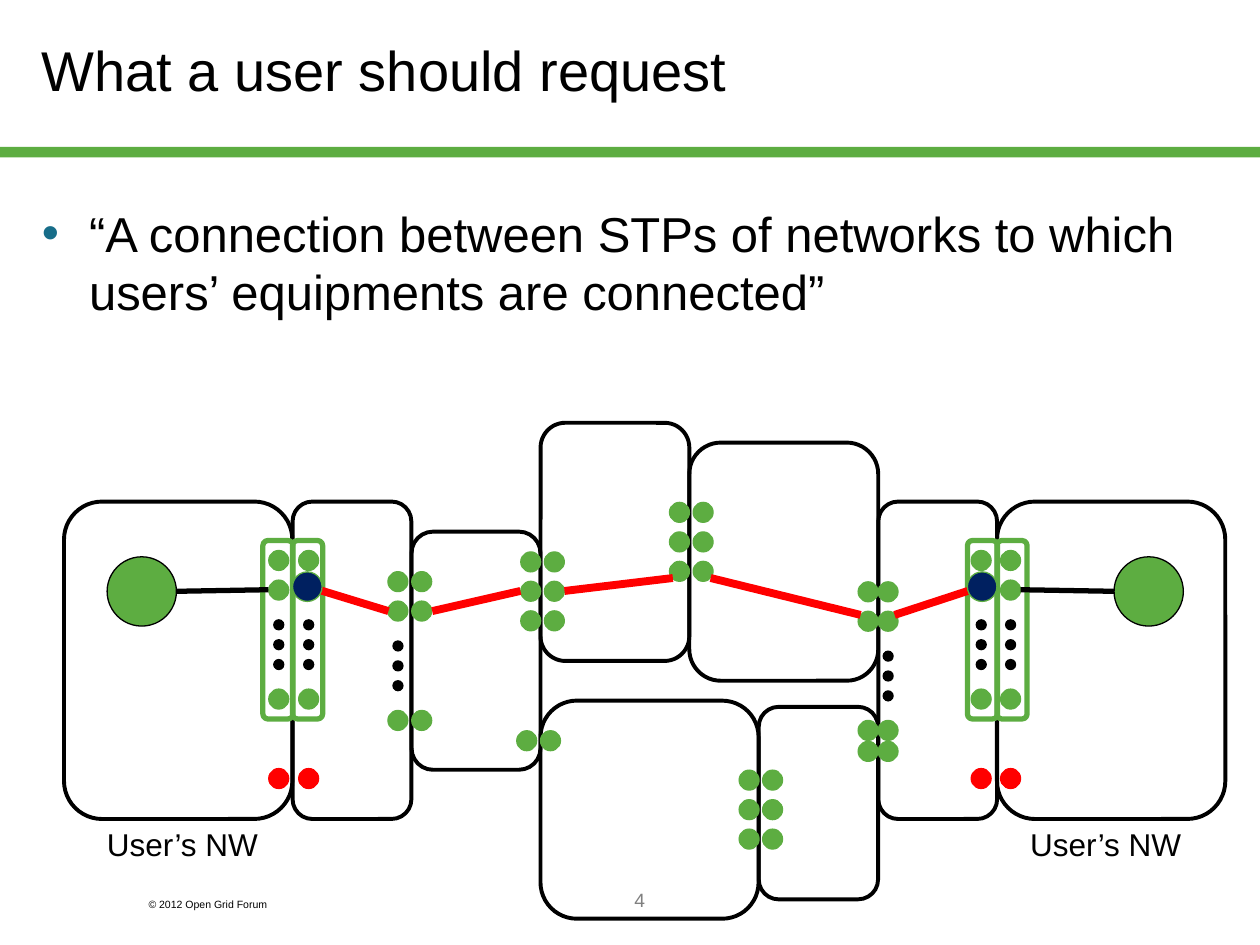
"""Build a slide on the connection a user should request between network STPs."""
from dataclasses import dataclass

from lxml.etree import SubElement
from pptx import Presentation
from pptx.dml.color import RGBColor
from pptx.enum.shapes import MSO_CONNECTOR as Connector
from pptx.enum.shapes import MSO_SHAPE as Shape
from pptx.enum.text import MSO_ANCHOR as Anchor
from pptx.enum.text import PP_ALIGN as Align
from pptx.oxml.ns import qn
from pptx.util import Pt

BLACK = RGBColor(0x00, 0x00, 0x00)
GRAY = RGBColor(0x80, 0x80, 0x80)
GREEN = RGBColor(0x5D, 0xAD, 0x41)
NAVY = RGBColor(0x00, 0x20, 0x60)
RED = RGBColor(0xFF, 0x00, 0x00)
TEAL = RGBColor(0x17, 0x6D, 0x89)

PORT = 11.4
DOT = 5.7
DOT_PITCH = 11.35
USER_TOP = 286.6
USER_HEIGHT = 181.4
FRAME_TOP = 308.9
HOST = 39.6
HOST_TOP = 318.2
CHOSEN = 16.9


@dataclass(frozen=True)
class Box:
    left: float
    top: float
    width: float
    height: float


@dataclass(frozen=True)
class Link:
    x1: float
    y1: float
    x2: float
    y2: float


@dataclass(frozen=True)
class Border:
    """STPs facing each other in two columns across a network border."""
    columns: tuple[float, float]
    tops: tuple[float, ...]


@dataclass(frozen=True)
class UserSide:
    """One STP column at a user's network and the frame around it."""
    port_left: float
    frame_left: float


NETWORKS = (
    Box(36.6, USER_TOP, 130.5, USER_HEIGHT),
    Box(167.2, USER_TOP, 67.9, USER_HEIGHT),
    Box(235.2, 303.8, 73.7, 136.1),
    Box(308.9, 241.6, 85, 136.1),
    Box(393.9, 252.9, 108, 136.1),
    Box(308.9, 400.4, 124.6, 124.6),
    Box(433.6, 403.9, 68.2, 110),
    Box(501.9, USER_TOP, 67.9, USER_HEIGHT),
    Box(569.7, USER_TOP, 130.5, USER_HEIGHT),
)
USER_SIDES = (
    UserSide(153.6, 150.2),
    UserSide(170.7, 167.2),
    UserSide(555, 552.8),
    UserSide(571.8, 569.7),
)
BORDERS = (
    Border((221.7, 235.3), (326.7, 343.5, 406)),
    Border((297.6, 311.1), (315.4, 332.2, 349.1)),
    Border((382.6, 396.1), (287.1, 304, 320.8)),
    Border((422.4, 435.8), (440.1, 457, 473.8)),
    Border((295.3, 308.9), (417.6,)),
    Border((490.4, 501.8), (332.5, 349.3, 411.7, 423.7)),
)
HOST_LINKS = (Link(100.8, 337.9, 153.4, 337), Link(636.5, 337.9, 583.2, 337))
CONNECTION = (
    Link(182, 337, 222, 349.2),
    Link(247, 349.2, 297.4, 337.7),
    Link(322.6, 337.7, 384.5, 330.3),
    Link(406.1, 330.3, 491.8, 351.4),
    Link(511.2, 351.4, 553, 337.7),
)


def add_figure(shapes, kind: Shape, box: Box, fill: RGBColor | None = None,
               line: RGBColor | None = None, weight: float = 0.75) -> None:
    figure = shapes.add_shape(kind, Pt(box.left), Pt(box.top), Pt(box.width), Pt(box.height))
    figure.shadow.inherit = False
    if fill is None:
        figure.fill.background()
    else:
        figure.fill.solid()
        figure.fill.fore_color.rgb = fill
    if line is None:
        figure.line.fill.background()
    else:
        figure.line.color.rgb = line
        figure.line.width = Pt(weight)


def add_circle(shapes, left: float, top: float, size: float,
               fill: RGBColor, line: RGBColor) -> None:
    add_figure(shapes, Shape.OVAL, Box(left, top, size, size), fill, line)


def add_port(shapes, left: float, top: float, color: RGBColor = GREEN) -> None:
    add_circle(shapes, left, top, PORT, color, color)


def add_ellipsis(shapes, port_left: float, top: float) -> None:
    for step in range(3):
        add_circle(shapes, port_left + (PORT - DOT) / 2, top + step * DOT_PITCH, DOT, BLACK, BLACK)


def add_user_side(shapes, side: UserSide) -> None:
    for top in (314.6, 331.5, 393.8):
        add_port(shapes, side.port_left, top)
    add_port(shapes, side.port_left, 439.2, RED)
    add_ellipsis(shapes, side.port_left, 354.2)
    add_figure(shapes, Shape.ROUNDED_RECTANGLE, Box(side.frame_left, FRAME_TOP, 17.2, 102),
               line=GREEN, weight=3)


def add_link(shapes, link: Link, color: RGBColor, weight: float) -> None:
    connector = shapes.add_connector(Connector.STRAIGHT, Pt(link.x1), Pt(link.y1),
                                     Pt(link.x2), Pt(link.y2))
    connector.line.color.rgb = color
    connector.line.width = Pt(weight)
    SubElement(connector._element.spPr, qn("a:effectLst"))


def add_text(shapes, text: str, box: Box, *, size: float, color: RGBColor = BLACK,
             align: Align = Align.LEFT, anchor: Anchor = Anchor.TOP,
             wrap: bool = True, bullet: RGBColor | None = None) -> None:
    frame = shapes.add_textbox(Pt(box.left), Pt(box.top), Pt(box.width), Pt(box.height)).text_frame
    frame.word_wrap = wrap
    frame.vertical_anchor = anchor
    paragraph = frame.paragraphs[0]
    paragraph.alignment = align
    if bullet is not None:
        properties = paragraph._p.get_or_add_pPr()
        properties.set("marL", str(Pt(27)))
        properties.set("indent", str(-Pt(27)))
        bullet_color = SubElement(properties, qn("a:buClr"))
        SubElement(bullet_color, qn("a:srgbClr"), val=str(bullet))
        SubElement(properties, qn("a:buFont"), typeface="Arial")
        SubElement(properties, qn("a:buChar"), char="•")
    run = paragraph.add_run()
    run.text = text
    run.font.name = "Arial"
    run.font.size = Pt(size)
    run.font.color.rgb = color


def main() -> None:
    deck = Presentation()
    deck.slide_width, deck.slide_height = Pt(720), Pt(540)
    shapes = deck.slides.add_slide(deck.slide_layouts[6]).shapes

    add_figure(shapes, Shape.RECTANGLE, Box(0, 84, 720, 6), GREEN)
    add_text(shapes, "© 2012 Open Grid Forum", Box(77.8, 509.8, 108, 14.4), size=6)
    add_text(shapes, "What a user should request", Box(16.8, 0, 612, 78.5),
             size=32, anchor=Anchor.MIDDLE)
    add_text(shapes, "“A connection between STPs of networks to which users’ equipments are connected”",
             Box(16.8, 112.5, 686, 106.5), size=28, bullet=TEAL)
    add_text(shapes, "4", Box(155.5, 504, 420, 36), size=11, color=GRAY, align=Align.CENTER)

    for network in NETWORKS:
        add_figure(shapes, Shape.ROUNDED_RECTANGLE, network, line=BLACK, weight=2.25)
    for label_left in (54, 581.6):
        add_text(shapes, "User’s NW", Box(label_left, 468, 101.5, 29), size=18, wrap=False)
    for side in USER_SIDES:
        add_user_side(shapes, side)
    for host_left in (61.2, 636.6):
        add_circle(shapes, host_left, HOST_TOP, HOST, GREEN, BLACK)
    for link in HOST_LINKS:
        add_link(shapes, link, BLACK, 3)
    for border in BORDERS:
        for top in border.tops:
            for left in border.columns:
                add_port(shapes, left, top)
    add_ellipsis(shapes, BORDERS[0].columns[0], 366.3)
    add_ellipsis(shapes, BORDERS[-1].columns[1], 372.1)
    for link in CONNECTION:
        add_link(shapes, link, RED, 4.5)
    for chosen_left in (167.2, 552.8):
        add_circle(shapes, chosen_left, 326.8, CHOSEN, NAVY, GREEN)

    deck.save("out.pptx")


if __name__ == "__main__":
    main()
